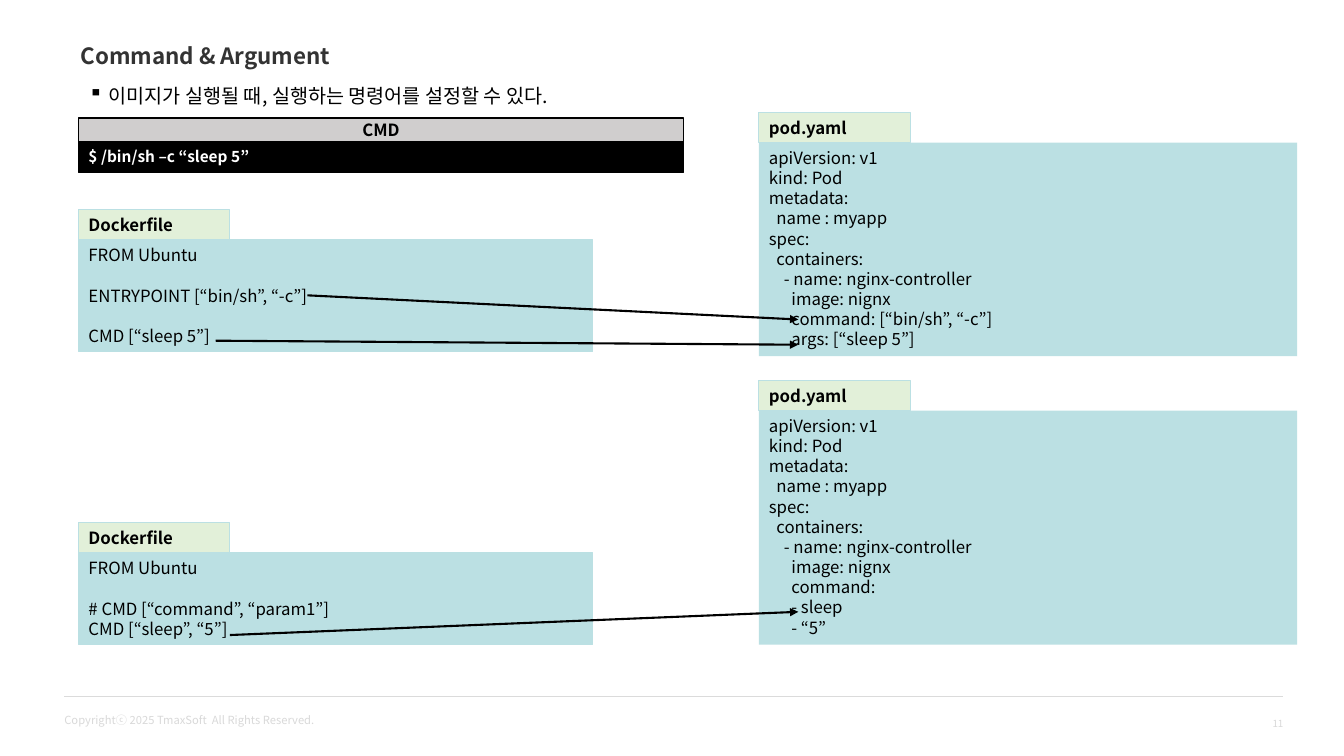
from dataclasses import dataclass
from typing import Optional

from lxml import etree
from pptx import Presentation
from pptx.dml.color import RGBColor
from pptx.enum import shapes, text
from pptx.oxml import ns
from pptx.util import Pt

FONT = "Noto Sans CJK KR"
BLACK, WHITE, TEAL, GREEN = "000000", "FFFFFF", "BBE0E3", "E2F0D9"
LEFT, RIGHT = 56.16, 542.16
TAB_W, TAB_H = 108, 21.6
PITCH, INSET = 14.54, 3.6


@dataclass
class Style:
    size: float
    color: str = BLACK
    bold: bool = False
    align: text.PP_ALIGN = text.PP_ALIGN.LEFT
    anchor: text.MSO_ANCHOR = text.MSO_ANCHOR.TOP
    wrap: bool = True


@dataclass
class Box:
    x: float
    y: float
    w: float
    h: float


@dataclass
class Panel:
    name: str
    x: float
    y: float
    w: float
    code: str
    edge: Optional[str] = None


@dataclass
class Arrow:
    x1: float
    y1: float
    x2: float
    y2: float


CODE = Style(12)
HEAD = Style(12, bold=True)

POD = """apiVersion: v1
kind: Pod
metadata:
  name : myapp
spec:
  containers:
    - name: nginx-controller
      image: nignx
      command:"""

PANELS = [
    Panel("Dockerfile", LEFT, 149.76, 367.2,
          "FROM Ubuntu\n\nENTRYPOINT [“bin/sh”, “-c”]\n\nCMD [“sleep 5”]", TEAL),
    Panel("Dockerfile", LEFT, 373.32, 367.2,
          "FROM Ubuntu\n\n# CMD [“command”, “param1”]\nCMD [“sleep”, “5”]", TEAL),
    Panel("pod.yaml", RIGHT, 80.28, 384.48,
          POD + " [“bin/sh”, “-c”]\n      args: [“sleep 5”]"),
    Panel("pod.yaml", RIGHT, 271.8, 384.48,
          POD + "\n      - sleep\n      - “5”"),
]

ARROWS = [
    Arrow(219.6, 210.96, 570.24, 228.24),
    Arrow(154.08, 243.36, 570.24, 246.24),
    Arrow(164.16, 453.6, 570.24, 437.04),
]


def rgb(code: str) -> RGBColor:
    return RGBColor.from_string(code)


def write(shape, words: str, style: Style, bullet: str = "") -> None:
    """Fill a shape with lines; an empty line becomes space before the next."""
    frame = shape.text_frame
    frame.word_wrap = style.wrap
    frame.vertical_anchor = style.anchor
    para, gap = None, 0
    for line in words.split("\n"):
        if not line:
            gap += PITCH
            continue
        para = frame.add_paragraph() if para else frame.paragraphs[0]
        para.alignment = style.align
        if gap:
            para.space_before = Pt(gap)
        gap = 0
        if bullet:
            props = para._p.get_or_add_pPr()
            props.set("marL", str(Pt(14.4)))
            props.set("indent", str(-Pt(14.4)))
            etree.SubElement(props, ns.qn("a:buChar")).set("char", bullet)
        para.add_run().text = line
        font = para.font
        font.name, font.size, font.bold = FONT, Pt(style.size), style.bold
        font.color.rgb = rgb(style.color)
        etree.SubElement(font._element, ns.qn("a:ea")).set("typeface", FONT)


def label(slide, box: Box, words: str, style: Style, bullet: str = "") -> None:
    shape = slide.shapes.add_textbox(Pt(box.x), Pt(box.y), Pt(box.w), Pt(box.h))
    write(shape, words, style, bullet)


def block(slide, box: Box, fill: str, edge: Optional[str], width: float,
          words: str, style: Style) -> None:
    shape = slide.shapes.add_shape(shapes.MSO_SHAPE.RECTANGLE, Pt(box.x),
                                   Pt(box.y), Pt(box.w), Pt(box.h))
    shape.shadow.inherit = False
    shape.fill.solid()
    shape.fill.fore_color.rgb = rgb(fill)
    if edge:
        shape.line.color.rgb = rgb(edge)
        shape.line.width = Pt(width)
    else:
        shape.line.fill.background()
    write(shape, words, style)


def draw(slide, panel: Panel) -> None:
    rows = panel.code.count("\n") + 1
    body = Box(panel.x, panel.y + TAB_H, panel.w, rows * PITCH + 2 * INSET)
    block(slide, body, TEAL, panel.edge, 0.75, panel.code, CODE)
    tab = Box(panel.x, panel.y, TAB_W, TAB_H)
    block(slide, tab, GREEN, TEAL, 0.75, panel.name, HEAD)


def link(slide, arrow: Arrow, color: str, width: float, tip: bool) -> None:
    line = slide.shapes.add_connector(
        shapes.MSO_CONNECTOR.STRAIGHT, Pt(arrow.x1), Pt(arrow.y1),
        Pt(arrow.x2), Pt(arrow.y2))
    line.line.color.rgb = rgb(color)
    line.line.width = Pt(width)
    if tip:
        stroke = line.line._get_or_add_ln()
        etree.SubElement(stroke, ns.qn("a:tailEnd")).set("type", "triangle")
    etree.SubElement(line._element.spPr, ns.qn("a:effectLst"))


def main() -> None:
    deck = Presentation()
    deck.slide_width, deck.slide_height = Pt(960), Pt(540)
    slide = deck.slides.add_slide(deck.slide_layouts[6])

    label(slide, Box(848.16, 493.2, 75.6, 46.8), "11",
          Style(7, "D9D9D9", align=text.PP_ALIGN.RIGHT,
                anchor=text.MSO_ANCHOR.MIDDLE))
    link(slide, Arrow(46.08, 497.52, 916.56, 497.52), "DBDBDB", 0.5, False)
    label(slide, Box(38.88, 506.16, 194.4, 17.28),
          "Copyrightⓒ 2025 TmaxSoft  All Rights Reserved.",
          Style(8, "D9D9D9", wrap=False))

    label(slide, Box(50.4, 26.64, 412.56, 26.64), "Command & Argument",
          Style(16, "333333", True))
    label(slide, Box(LEFT, 56.16, 776.16, 24.48),
          "이미지가 실행될 때, 실행하는 명령어를 설정할 수 있다.", Style(14), "▪")

    block(slide, Box(LEFT, 84.24, 432, 17.28), "D0CECE", BLACK, 1, "CMD",
          Style(12, bold=True, align=text.PP_ALIGN.CENTER,
                anchor=text.MSO_ANCHOR.MIDDLE))
    block(slide, Box(LEFT, 101.52, 432, 21.6), BLACK, BLACK, 1,
          "$ /bin/sh –c “sleep 5”", Style(11, WHITE, True))

    for panel in PANELS:
        draw(slide, panel)
    for arrow in ARROWS:
        link(slide, arrow, BLACK, 1.5, True)
    deck.save("out.pptx")


if __name__ == "__main__":
    main()
